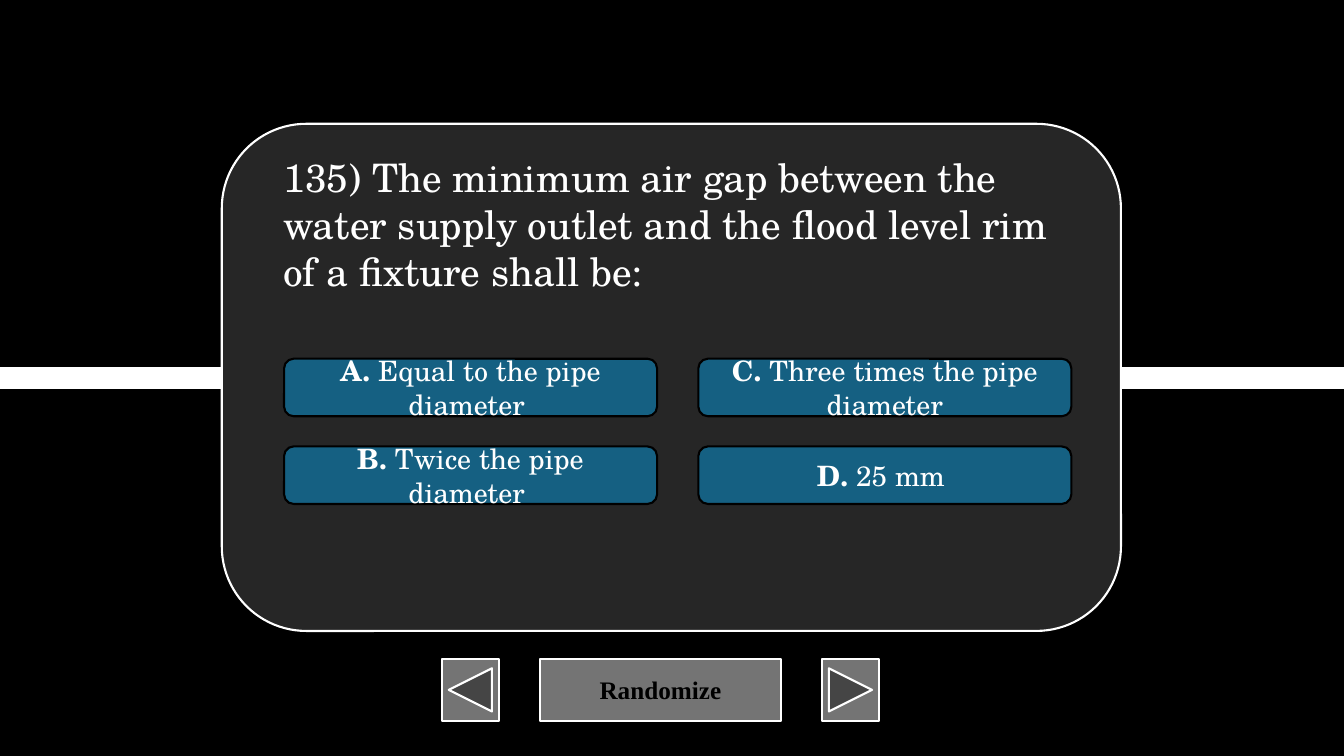
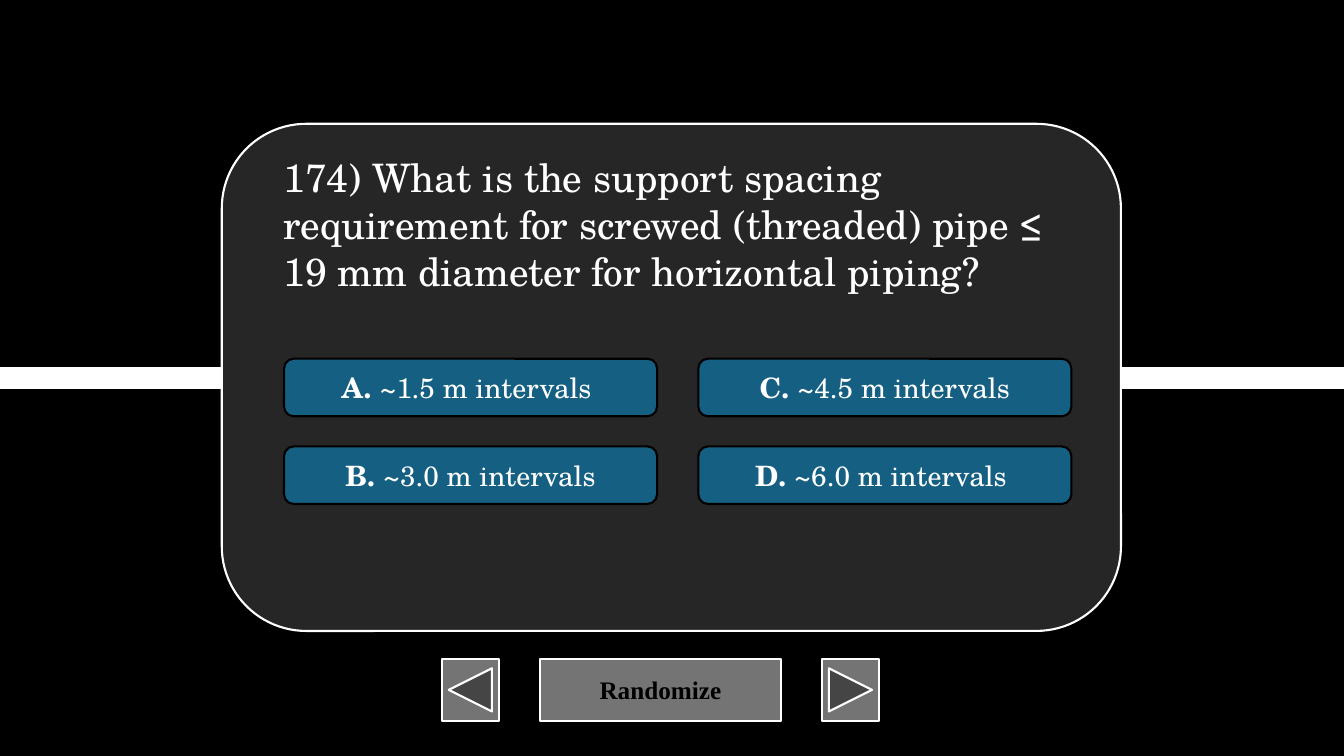
from dataclasses import dataclass

from lxml.etree import SubElement
from pptx import Presentation
from pptx.dml.color import RGBColor
from pptx.enum.shapes import MSO_CONNECTOR, MSO_SHAPE
from pptx.enum.text import MSO_ANCHOR, PP_ALIGN
from pptx.oxml.ns import qn
from pptx.util import Cm, Pt


@dataclass(frozen=True)
class Theme:
    """Colours, fonts and sizes shared by all quiz slides."""

    background: str = "000000"
    light: str = "FFFFFF"
    dark: str = "000000"
    card: str = "262626"
    answer: str = "156082"
    button: str = "747474"
    quiz_font: str = "TeX Gyre Schola"
    button_font: str = "Times New Roman"
    question_size: float = 28
    answer_size: float = 20
    button_size: float = 18
    outline: float = 1.5
    band: float = 16


@dataclass(frozen=True)
class Box:
    """A rectangle measured in centimetres."""

    left: float
    top: float
    width: float
    height: float

    def inner(self, left, top, width, height):
        """Return a box whose corner is offset from this one."""
        return Box(self.left + left, self.top + top, width, height)

    def lengths(self):
        """Return the four lengths for python-pptx."""
        return Cm(self.left), Cm(self.top), Cm(self.width), Cm(self.height)


THEME = Theme()
PAGE = Box(0, 0, 33.87, 19.05)
CARD = Box(5.59, 3.12, 22.66, 12.78)
NAVIGATION = Box(11.13, 16.61, 11.03, 1.55)

QUESTIONS = [
    (
        "135) The minimum air gap between the water supply outlet and the "
        "flood level rim of a fixture shall be:",
        ["Equal to the pipe diameter ", "Twice the pipe diameter ",
         "Three times the pipe diameter", "25 mm "],
    ),
    (
        "174) What is the support spacing requirement for screwed (threaded) "
        "pipe ≤ 19 mm diameter for horizontal piping?",
        ["~1.5 m intervals ", "~3.0 m intervals",
         "~4.5 m intervals", "~6.0 m intervals "],
    ),
]


def add_run(paragraph, text, font, size, color, bold=False):
    """Append one formatted run to a paragraph."""
    run = paragraph.add_run()
    run.text = text
    run.font.name = font
    run.font.size = Pt(size)
    run.font.bold = bold
    run.font.color.rgb = RGBColor.from_string(color)


def add_panel(slide, kind, box, fill, line):
    """Add a flat outlined shape and return it."""
    shape = slide.shapes.add_shape(kind, *box.lengths())
    shape.shadow.inherit = False
    shape.fill.solid()
    shape.fill.fore_color.rgb = RGBColor.from_string(fill)
    shape.line.color.rgb = RGBColor.from_string(line)
    shape.line.width = Pt(THEME.outline)
    return shape


def centred_paragraph(shape):
    """Centre the text of a shape and return its first paragraph."""
    shape.text_frame.word_wrap = True
    shape.text_frame.vertical_anchor = MSO_ANCHOR.MIDDLE
    paragraph = shape.text_frame.paragraphs[0]
    paragraph.alignment = PP_ALIGN.CENTER
    return paragraph


def add_backdrop(slide, box):
    """Paint the background and the band across the middle."""
    slide.background.fill.solid()
    slide.background.fill.fore_color.rgb = RGBColor.from_string(THEME.background)
    middle = Cm(box.top + box.height / 2)
    band = slide.shapes.add_connector(
        MSO_CONNECTOR.STRAIGHT, Cm(box.left), middle,
        Cm(box.left + box.width), middle)
    band.line.color.rgb = RGBColor.from_string(THEME.light)
    band.line.width = Pt(THEME.band)
    SubElement(band._element.spPr, qn("a:effectLst"))


def add_navigation(slide, box):
    """Place the back, randomize and forward buttons in a row."""
    arrow_width, gap = 1.45, 1.03
    label_width = box.width - 2 * (arrow_width + gap)
    buttons = [
        (MSO_SHAPE.ACTION_BUTTON_BACK_OR_PREVIOUS, arrow_width, None),
        (MSO_SHAPE.ACTION_BUTTON_CUSTOM, label_width, "Randomize"),
        (MSO_SHAPE.ACTION_BUTTON_FORWARD_OR_NEXT, arrow_width, None),
    ]
    left = 0
    for kind, width, label in buttons:
        button = add_panel(slide, kind, box.inner(left, 0, width, box.height),
                           THEME.button, THEME.light)
        if label:
            add_run(centred_paragraph(button), label, THEME.button_font,
                    THEME.button_size, THEME.dark, bold=True)
        left += width + gap


def add_question(slide, box, question):
    """Write the question text in its box."""
    frame = slide.shapes.add_textbox(*box.lengths()).text_frame
    frame.word_wrap = True
    add_run(frame.paragraphs[0], question, THEME.quiz_font,
            THEME.question_size, THEME.light)


def add_answers(slide, box, answers):
    """Place lettered answers in two columns, filled downwards."""
    width, height, rows = 9.4, 1.45, 2
    column_step, row_step = box.width - width, box.height - height
    for index, (letter, answer) in enumerate(zip("ABCD", answers)):
        column, row = divmod(index, rows)
        place = box.inner(column * column_step, row * row_step, width, height)
        shape = add_panel(slide, MSO_SHAPE.ROUNDED_RECTANGLE, place,
                          THEME.answer, THEME.dark)
        paragraph = centred_paragraph(shape)
        for text, bold in ((f"{letter}. ", True), (answer, False)):
            add_run(paragraph, text, THEME.quiz_font, THEME.answer_size,
                    THEME.light, bold)


def add_card(slide, box, question, answers):
    """Draw the card with its question and answers."""
    add_panel(slide, MSO_SHAPE.ROUNDED_RECTANGLE, box, THEME.card, THEME.light)
    add_answers(slide, box.inner(1.57, 5.92, 19.84, 3.66), answers)
    add_question(slide, box.inner(1.3, 0.61, 20.12, 3.84), question)


def add_quiz_slide(presentation, question, answers):
    """Add one multiple-choice slide."""
    slide = presentation.slides.add_slide(presentation.slide_layouts[6])
    add_backdrop(slide, PAGE)
    add_navigation(slide, NAVIGATION)
    add_card(slide, CARD, question, answers)


def main():
    """Build and save the quiz."""
    presentation = Presentation()
    presentation.slide_width = Cm(PAGE.width)
    presentation.slide_height = Cm(PAGE.height)
    for question, answers in QUESTIONS:
        add_quiz_slide(presentation, question, answers)
    presentation.save("out.pptx")


if __name__ == "__main__":
    main()
